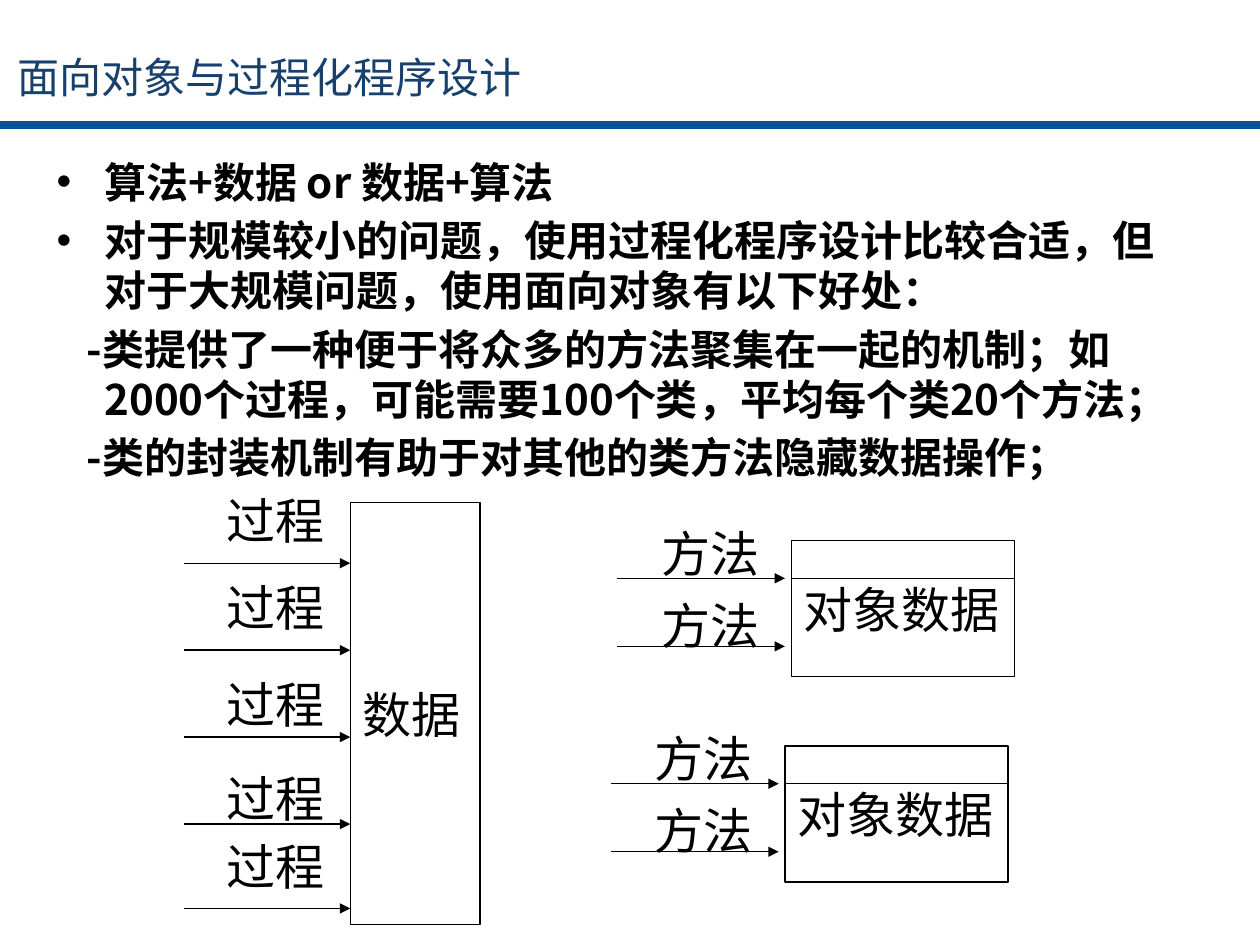
"""Build a slide comparing procedural and object-oriented programming."""
import pptx
import pptx.dml.color
import pptx.enum.shapes
import pptx.enum.text
import pptx.oxml.ns
import pptx.util
from lxml import etree
from pptx.util import Inches

BLACK = pptx.dml.color.RGBColor(0x00, 0x00, 0x00)
TITLE_BLUE = pptx.dml.color.RGBColor(0x17, 0x40, 0x6D)
RULE_BLUE = pptx.dml.color.RGBColor(0x0B, 0x53, 0x94)
FONT = "Noto Sans CJK SC"
qn = pptx.oxml.ns.qn


def write(paragraph, text, size, color=BLACK, bold=False):
    paragraph.alignment = pptx.enum.text.PP_ALIGN.LEFT
    run = paragraph.add_run()
    run.text = text
    run.font.size = pptx.util.Pt(size)
    run.font.bold = bold
    run.font.color.rgb = color
    run.font.name = FONT
    etree.SubElement(run.font._element, qn("a:ea"), typeface=FONT)


def draw_line(x1, y1, x2, y2, color=BLACK, width=0.75, arrow=False):
    connector = slide.shapes.add_connector(
        pptx.enum.shapes.MSO_CONNECTOR.STRAIGHT,
        Inches(x1), Inches(y1), Inches(x2), Inches(y2))
    connector.line.color.rgb = color
    connector.line.width = pptx.util.Pt(width)
    if arrow:
        etree.SubElement(connector.line._get_or_add_ln(), qn("a:tailEnd"), type="triangle")
    etree.SubElement(connector._element.spPr, qn("a:effectLst"))


presentation = pptx.Presentation()
presentation.slide_width = Inches(10)
presentation.slide_height = Inches(7.5)
slide = presentation.slides.add_slide(presentation.slide_layouts[1])

draw_line(0, 0.99, 10, 0.99, RULE_BLUE, 4.5)

title = slide.shapes.title
title.left, title.top, title.width, title.height = map(Inches, (0.04, 0.21, 8.5, 0.79))
title.text_frame.auto_size = pptx.enum.text.MSO_AUTO_SIZE.NONE
title.text_frame.vertical_anchor = pptx.enum.text.MSO_ANCHOR.MIDDLE
write(title.text_frame.paragraphs[0], "面向对象与过程化程序设计", 24, TITLE_BLUE)

body = slide.placeholders[1]
body.left, body.top, body.width, body.height = map(Inches, (0.35, 1.19, 9.15, 5.95))
body.text_frame.auto_size = pptx.enum.text.MSO_AUTO_SIZE.NONE
points = [
    ("算法+数据 or 数据+算法", True),
    ("对于规模较小的问题，使用过程化程序设计比较合适，但对于大规模问题，使用面向对象有以下好处：", True),
    ("-类提供了一种便于将众多的方法聚集在一起的机制；如2000个过程，可能需要100个类，平均每个类20个方法；", False),
    ("-类的封装机制有助于对其他的类方法隐藏数据操作；", False),
]
for index, (text, bulleted) in enumerate(points):
    paragraph = body.text_frame.paragraphs[0] if index == 0 else body.text_frame.add_paragraph()
    paragraph.space_before = pptx.util.Pt(4.5)
    properties = paragraph._p.get_or_add_pPr()
    properties.set("marL", str(Inches(0.38)))
    properties.set("indent", str(Inches(-0.38 if bulleted else -0.14)))
    if bulleted:
        etree.SubElement(properties, qn("a:buChar"), char="•")
    else:
        etree.SubElement(properties, qn("a:buNone"))
    write(paragraph, text, 24, bold=True)

boxes = [("数据", 2.78, 3.99, 1.03, 3.35)]
labels = [("过程", 1.7, top, 1, 1) for top in (3.63, 4.32, 5.09, 5.83, 6.37)]
arrows = [(1.46, y, 2.78) for y in (4.47, 5.16, 5.85, 6.54, 7.21)]
dividers = []
for left, top in ((6.28, 4.29), (6.23, 5.92)):
    boxes.append(("对象数据", left, top, 1.77, 1.08))
    dividers.append((left, top + 0.3, left + 1.77))
    labels.append(("方法", left - 1.13, top - 0.2, 1, 0.59))
    labels.append(("方法", left - 1.13, top + 0.3, 1, 0.74))
    arrows.append((left - 1.38, top + 0.3, left - 0.05))
    arrows.append((left - 1.38, top + 0.84, left - 0.05))

for text, left, top, width, height in boxes:
    box = slide.shapes.add_shape(
        pptx.enum.shapes.MSO_SHAPE.RECTANGLE,
        Inches(left), Inches(top), Inches(width), Inches(height))
    box.shadow.inherit = False
    box.fill.background()
    box.line.color.rgb = BLACK
    box.line.width = pptx.util.Pt(0.75)
    box.text_frame.word_wrap = False
    box.text_frame.vertical_anchor = pptx.enum.text.MSO_ANCHOR.MIDDLE
    write(box.text_frame.paragraphs[0], text, 28)

for text, left, top, width, height in labels:
    label = slide.shapes.add_textbox(Inches(left), Inches(top), Inches(width), Inches(height))
    label.text_frame.word_wrap = False
    label.text_frame.vertical_anchor = pptx.enum.text.MSO_ANCHOR.MIDDLE
    write(label.text_frame.paragraphs[0], text, 28)

for start, y, end in arrows:
    draw_line(start, y, end, y, arrow=True)
for start, y, end in dividers:
    draw_line(start, y, end, y)

presentation.save("out.pptx")
